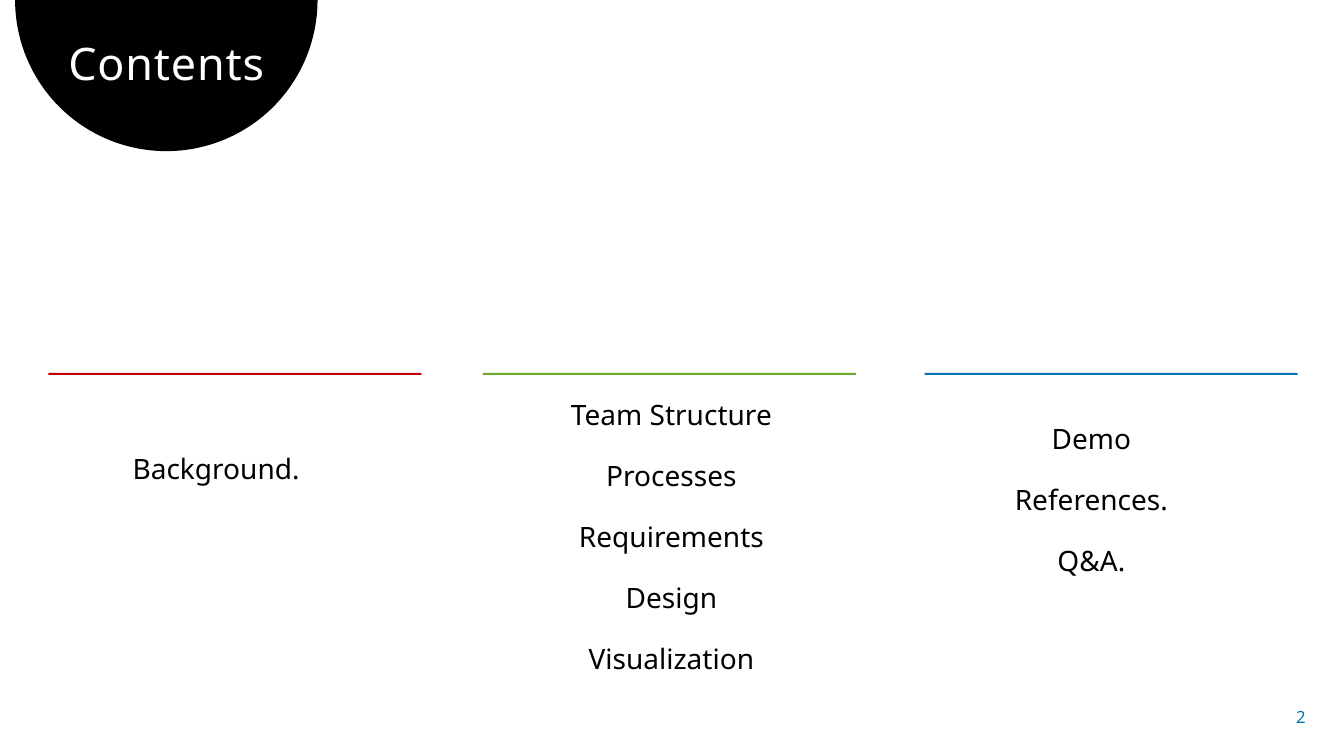
from math import cos, pi, sin
from typing import NamedTuple
from pptx import Presentation
from pptx import util as u
from pptx.dml import color
from pptx.enum import shapes, text

FONT = "Noto Sans"
BLACK, WHITE, BLUE = "000000", "FFFFFF", "0074AF"


class Box(NamedTuple):
    left: float
    top: float
    width: float
    height: float


class Style(NamedTuple):
    size: float
    hue: str
    align: text.PP_ALIGN = text.PP_ALIGN.CENTER
    lead: float = 0.9
    before: float = 0
    after: float = 0
    track: int = 0


class Column(NamedTuple):
    rule: float
    hue: str
    box: Box
    items: list[str]


TITLE = Style(32, WHITE, track=60)
ITEM = Style(20, BLACK, before=10, after=12)
PAGE = Style(12, BLUE, text.PP_ALIGN.RIGHT, 1)

COLUMNS = [
    Column(0.48, "C00000", Box(0.15, 4.47, 4.06, 0.4), ["Background. "]),
    Column(4.79, "6EAA2E", Box(4.56, 3.93, 4.2, 3.46),
           ["Team Structure", "Processes", "Requirements", "Design", "Visualization"]),
    Column(9.17, BLUE, Box(8.76, 4.17, 4.13, 1.63), ["Demo", "References.", "Q&A."]),
]


def rgb(hue: str) -> color.RGBColor:
    return color.RGBColor.from_string(hue)


def place(box: Box) -> list[u.Length]:
    return [u.Inches(side) for side in box]


def paint(shape, hue: str) -> None:
    shape.shadow.inherit = False
    shape.fill.solid()
    shape.fill.fore_color.rgb = rgb(hue)
    shape.line.fill.background()


def write(slide, box: Box, lines: list[str], style: Style,
          anchor=text.MSO_ANCHOR.TOP, wrap: bool = True) -> None:
    frame = slide.shapes.add_textbox(*place(box)).text_frame
    frame.word_wrap = wrap
    frame.vertical_anchor = anchor
    for rank, line in enumerate(lines):
        para = frame.add_paragraph() if rank else frame.paragraphs[0]
        para.alignment = style.align
        para.line_spacing = style.lead
        para.space_before = u.Pt(style.before)
        para.space_after = u.Pt(style.after)
        run = para.add_run()
        run.text = line
        run.font.name = FONT
        run.font.size = u.Pt(style.size)
        run.font.color.rgb = rgb(style.hue)
        if style.track:
            run.font._element.set("spc", str(style.track))


def draw_dome(slide, mid: float, radius: float, steps: int = 90) -> None:
    rim = [(u.Inches(mid + radius * cos(pi * step / steps)),
            u.Inches(radius * sin(pi * step / steps))) for step in range(steps + 1)]
    pen = slide.shapes.build_freeform(*rim[0])
    pen.add_line_segments(rim[1:], close=True)
    paint(pen.convert_to_shape(), BLACK)


def draw_column(slide, column: Column) -> None:
    bar = slide.shapes.add_shape(shapes.MSO_SHAPE.RECTANGLE,
                                 *place(Box(column.rule, 3.7, 3.7, 0.02)))
    paint(bar, column.hue)
    write(slide, column.box, column.items, ITEM)


def main() -> None:
    deck = Presentation()
    deck.slide_width, deck.slide_height = u.Inches(13.33), u.Inches(7.5)
    slide = deck.slides.add_slide(deck.slide_layouts[6])
    draw_dome(slide, 1.65, 1.5)
    write(slide, Box(0.35, 0.37, 2.6, 0.59), ["Contents"], TITLE)
    for column in COLUMNS:
        draw_column(slide, column)
    write(slide, Box(12.5, 6.91, 0.55, 0.4), ["2"], PAGE,
          text.MSO_ANCHOR.MIDDLE, False)
    deck.save("out.pptx")


main()
